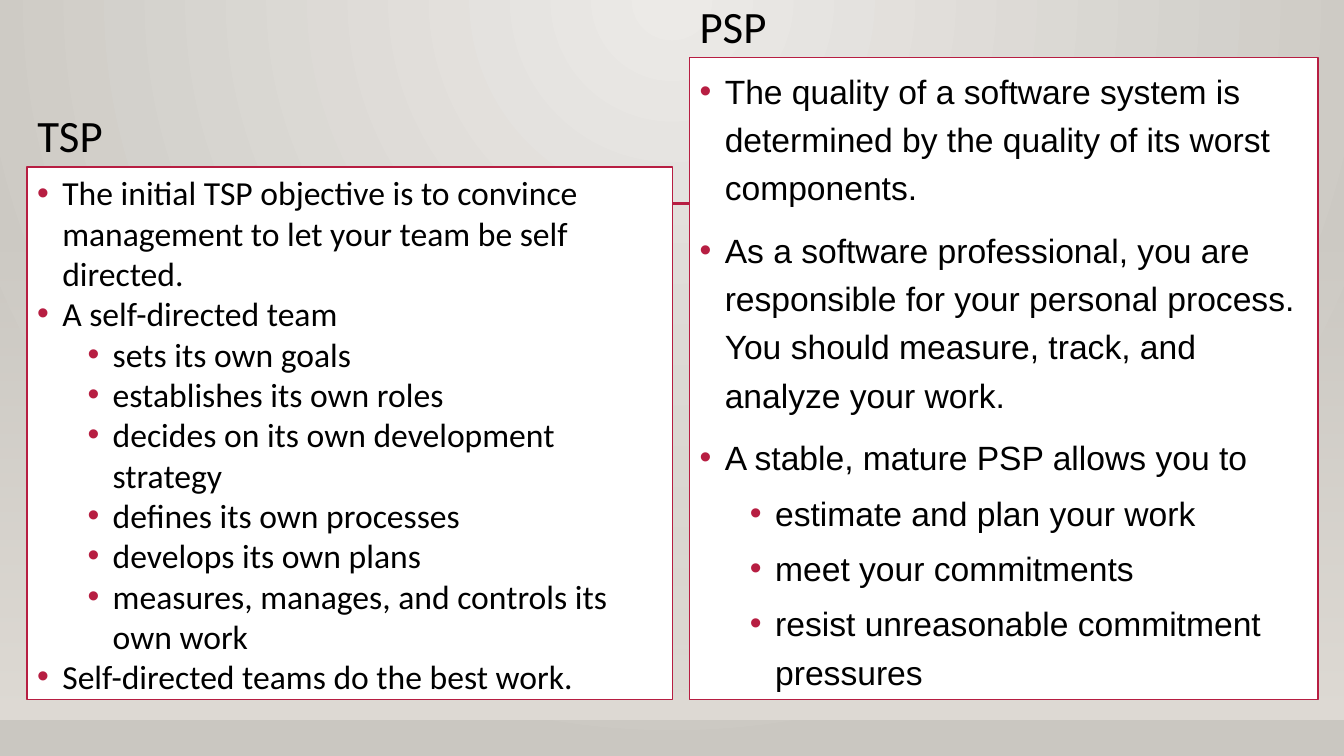
from lxml import etree
from pptx import Presentation
from pptx import util as u
from pptx.dml.color import RGBColor
from pptx.enum import shapes, text
from pptx.oxml import parse_xml
from pptx.oxml.ns import nsdecls, qn

COLORS = {"light": "ECEAE7", "stone": "CAC7C1", "floor": "DFDBD5",
          "accent": "B71E42", "panel": "FFFFFF", "ink": "000000"}

TSP_POINTS = [
    (0, "The initial TSP objective is to convince management to let your team be self directed."),
    (0, "A self-directed team"),
    (1, "sets its own goals"),
    (1, "establishes its own roles"),
    (1, "decides on its own development strategy"),
    (1, "defines its own processes"),
    (1, "develops its own plans"),
    (1, "measures, manages, and controls its own work"),
    (0, "Self-directed teams do the best work."),
]
PSP_POINTS = [
    (0, "The quality of a software system is determined by the quality of its worst components."),
    (0, "As a software professional, you are responsible for your personal process. "
        "You should measure, track, and analyze your work."),
    (0, "A stable, mature PSP allows you to"),
    (1, "estimate and plan your work"),
    (1, "meet your commitments"),
    (1, "resist unreasonable commitment pressures"),
]


def rgb(name):
    return RGBColor.from_string(COLORS[name])


def set_gradient(fill, owner, start, end, direction, start_alpha=100):
    """Give fill, found inside the XML element owner, a two-stop gradient."""
    fill.gradient()
    old = next(owner.iter(qn("a:gradFill")))
    new = parse_xml(
        f'<a:gradFill {nsdecls("a")} rotWithShape="1"><a:gsLst>'
        f'<a:gs pos="0"><a:srgbClr val="{COLORS[start]}">'
        f'<a:alpha val="{start_alpha * 1000}"/></a:srgbClr></a:gs>'
        f'<a:gs pos="100000"><a:srgbClr val="{COLORS[end]}"/></a:gs>'
        f'</a:gsLst>{direction}</a:gradFill>')
    old.getparent().replace(old, new)


def draw_backdrop(slide, left, top, width, height):
    set_gradient(slide.background.fill, slide.element, "light", "stone",
                 '<a:path path="circle"><a:fillToRect l="43000" t="0" r="43000" b="100000"/></a:path>')
    floor = slide.shapes.add_shape(shapes.MSO_SHAPE.RECTANGLE, left, top + u.Inches(2.21),
                                   width, height - u.Inches(2.57))
    floor.shadow.inherit = False
    floor.line.fill.background()
    set_gradient(floor.fill, floor.element, "floor", "floor",
                 '<a:lin ang="5400000" scaled="0"/>', start_alpha=0)

    rule_y = top + u.Inches(2.02)
    rule = slide.shapes.add_connector(shapes.MSO_CONNECTOR.STRAIGHT, left + u.Inches(1.59), rule_y,
                                      left + u.Inches(12.1), rule_y)
    rule.line.color.rgb = rgb("accent")
    rule.line.width = u.Pt(2.5)
    etree.SubElement(rule.element.spPr, qn("a:effectLst"))


def write_heading(heading, wording, left, top, width, height):
    heading.left, heading.top, heading.width, heading.height = left, top, width, height
    frame = heading.text_frame
    frame.text = wording
    frame.word_wrap = True
    frame.auto_size = text.MSO_AUTO_SIZE.NONE
    frame.vertical_anchor = text.MSO_ANCHOR.TOP
    line = frame.paragraphs[0]
    line.alignment = text.PP_ALIGN.LEFT
    line.line_spacing = 0.9
    line.font.name, line.font.size = "Calibri", u.Pt(32)
    line.font.color.rgb = rgb("ink")


def add_bullet(paragraph, level):
    props = paragraph._p.get_or_add_pPr()
    props.set("marL", str(u.Inches(0.25 + 0.5 * level)))
    props.set("indent", str(u.Inches(-0.25)))
    color = etree.SubElement(props, qn("a:buClr"))
    etree.SubElement(color, qn("a:srgbClr"), val=COLORS["accent"])
    etree.SubElement(props, qn("a:buFont"), typeface="Arial")
    etree.SubElement(props, qn("a:buChar"), char="•")


def draw_panel(slide, points, font, spacing, gaps, left, top, width, height):
    """Draw a framed list; gaps holds the space before each level, in points."""
    panel = slide.shapes.add_shape(shapes.MSO_SHAPE.RECTANGLE, left, top, width, height)
    panel.shadow.inherit = False
    panel.fill.solid()
    panel.fill.fore_color.rgb = rgb("panel")
    panel.line.color.rgb = rgb("accent")
    panel.line.width = u.Pt(1.25)
    frame = panel.text_frame
    frame.word_wrap = True
    frame.vertical_anchor = text.MSO_ANCHOR.TOP
    for index, (level, wording) in enumerate(points):
        point = frame.add_paragraph() if index else frame.paragraphs[0]
        point.text = wording
        point.level = level
        point.alignment = text.PP_ALIGN.LEFT
        point.line_spacing = spacing
        point.space_before = u.Pt(gaps[level])
        point.font.name, point.font.size = font, u.Pt(24)
        point.font.color.rgb = rgb("ink")
        add_bullet(point, level)


def main():
    deck = Presentation()
    deck.slide_width, deck.slide_height = u.Inches(13.33), u.Inches(7.5)
    slide = deck.slides.add_slide(deck.slide_layouts[5])
    draw_backdrop(slide, 0, 0, deck.slide_width, deck.slide_height)

    tsp_left, psp_left, bottom = u.Inches(0.27), u.Inches(6.84), u.Inches(6.94)
    tsp_top, psp_top = u.Inches(1.66), u.Inches(0.57)
    write_heading(slide.shapes.title, "TSP", tsp_left, u.Inches(1.08), u.Inches(1.26), u.Inches(1.16))
    draw_panel(slide, TSP_POINTS, "Calibri", 1.0, (0, 0),
               tsp_left, tsp_top, u.Inches(6.4), bottom - tsp_top)
    draw_panel(slide, PSP_POINTS, "Arial", 1.2, (10, 5),
               psp_left, psp_top, u.Inches(6.23), bottom - psp_top)
    psp_heading = slide.shapes.add_textbox(0, 0, 0, 0)
    write_heading(psp_heading, "PSP", psp_left, 0, u.Inches(6.49), u.Inches(0.59))

    deck.save("out.pptx")


if __name__ == "__main__":
    main()
